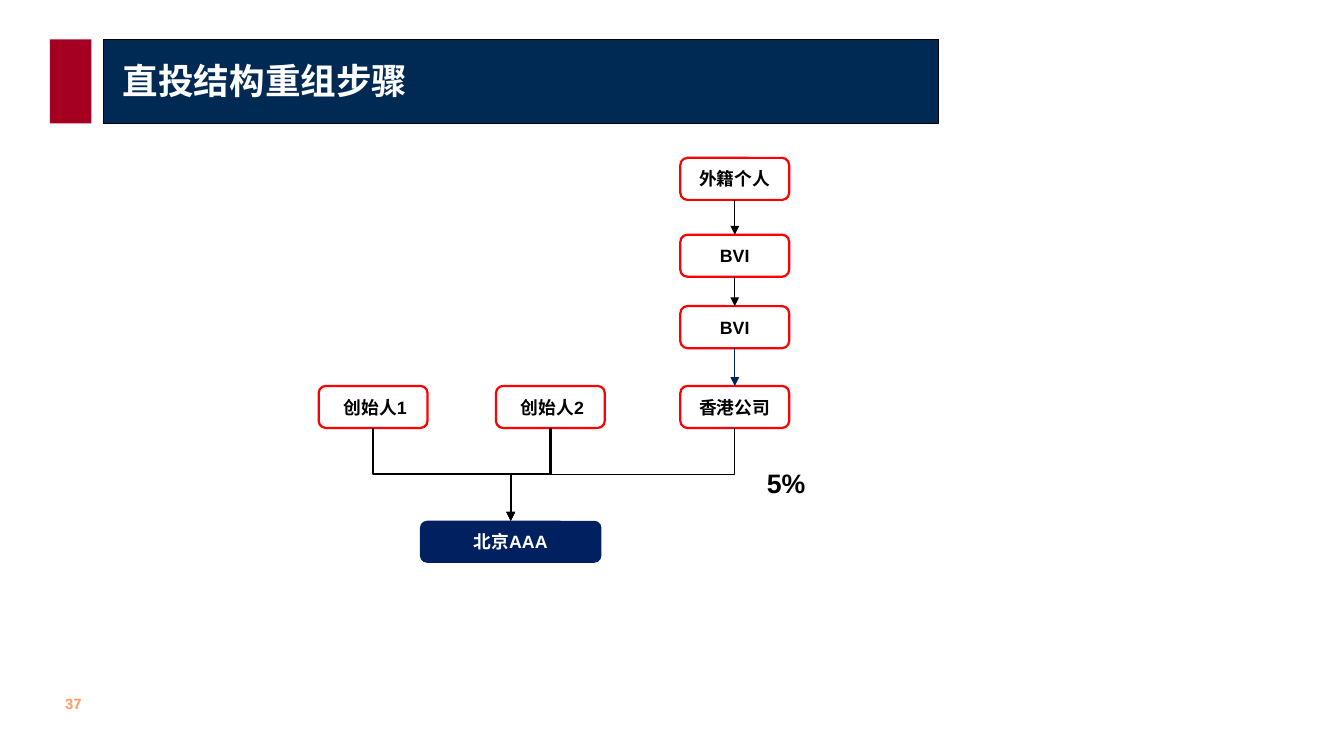
from collections import namedtuple
from dataclasses import dataclass

from lxml import etree
from pptx import Presentation
from pptx.dml.color import RGBColor
from pptx.enum.shapes import MSO_CONNECTOR, MSO_SHAPE
from pptx.enum.text import MSO_ANCHOR, MSO_AUTO_SIZE, PP_ALIGN
from pptx.oxml.ns import qn
from pptx.util import Cm, Pt

RECTANGLE, ROUNDED = MSO_SHAPE.RECTANGLE, MSO_SHAPE.ROUNDED_RECTANGLE
STRAIGHT, ELBOW = MSO_CONNECTOR.STRAIGHT, MSO_CONNECTOR.ELBOW
MIDDLE, NO_AUTOFIT = MSO_ANCHOR.MIDDLE, MSO_AUTO_SIZE.NONE
LEFT, CENTER = PP_ALIGN.LEFT, PP_ALIGN.CENTER
TITLE_ONLY = 5
TOP_SITE, BOTTOM_SITE = 0, 2

Box = namedtuple("Box", "left top width height")


@dataclass(frozen=True)
class Theme:
    white: str = "FFFFFF"
    black: str = "000000"
    title_bar: str = "002A54"
    accent: str = "A50021"
    page_number: str = "FF9966"
    company: str = "002060"
    outline: str = "FF0000"
    latin_font: str = "Arial"
    title_font: str = "Times New Roman"
    chinese_font: str = "Noto Sans CJK SC"
    title_size: int = 24
    share_size: int = 18
    node_size: int = 12
    page_size: int = 10
    thin: float = 0.75
    frame: float = 1
    thick: float = 1.5


THEME = Theme()


def lengths(*values):
    return [Cm(value) for value in values]


def add_run(paragraph, text, size, color, font=THEME.latin_font):
    run = paragraph.add_run()
    run.text = text
    run.font.size = Pt(size)
    run.font.bold = True
    run.font.color.rgb = RGBColor.from_string(color)
    run.font.name = font
    east_asian = etree.Element(qn("a:ea"), typeface=THEME.chinese_font)
    run.font._element.find(qn("a:latin")).addnext(east_asian)


def add_panel(slide, kind, box, fill, outline=None, weight=THEME.thick):
    shape = slide.shapes.add_shape(kind, *lengths(*box))
    shape.shadow.inherit = False
    shape.fill.solid()
    shape.fill.fore_color.rgb = RGBColor.from_string(fill)
    if outline:
        shape.line.color.rgb = RGBColor.from_string(outline)
        shape.line.width = Pt(weight)
    else:
        shape.line.fill.background()
    return shape


def add_label(slide, box, text, size, color, wrap):
    shape = slide.shapes.add_textbox(*lengths(*box))
    shape.text_frame.word_wrap = wrap
    add_run(shape.text_frame.paragraphs[0], text, size, color)


def add_node(slide, box, text, fill=THEME.white, outline=THEME.outline,
             color=THEME.black):
    shape = add_panel(slide, ROUNDED, box, fill, outline)
    shape.text_frame.vertical_anchor = MIDDLE
    paragraph = shape.text_frame.paragraphs[0]
    paragraph.alignment = CENTER
    add_run(paragraph, text, THEME.node_size, color)
    return shape


def style_arrow(connector, color, weight):
    connector.line.color.rgb = RGBColor.from_string(color)
    connector.line.width = Pt(weight)
    etree.SubElement(connector.line._get_or_add_ln(), qn("a:tailEnd"),
                     type="triangle")
    etree.SubElement(connector._element.spPr, qn("a:effectLst"))


def add_straight_arrow(slide, upper, lower, color):
    connector = slide.shapes.add_connector(STRAIGHT, 0, 0, 0, 0)
    connector.begin_connect(upper, BOTTOM_SITE)
    connector.end_connect(lower, TOP_SITE)
    style_arrow(connector, color, THEME.thin)


def add_elbow_arrow(slide, upper, lower, weight):
    """Run down, across and down: a sideways elbow turned by a quarter."""
    start_x = upper.left + upper.width // 2
    end_x = lower.left + lower.width // 2
    start_y, end_y = upper.top + upper.height, lower.top
    center_x, center_y = (start_x + end_x) // 2, (start_y + end_y) // 2
    half_drop, half_span = (end_y - start_y) // 2, abs(end_x - start_x) // 2
    goes_right = end_x > start_x
    reach = -half_drop if goes_right else half_drop
    connector = slide.shapes.add_connector(
        ELBOW, center_x - reach, center_y - half_span,
        center_x + reach, center_y + half_span)
    degrees = 270 if goes_right else 90
    connector._element.spPr.find(qn("a:xfrm")).set("rot", str(degrees * 60000))
    style_arrow(connector, THEME.black, weight)


def add_header(slide, box):
    accent_width, gap = 0.99, 0.28
    bar_left = box.left + accent_width + gap
    bar_width = box.width - accent_width - gap
    add_panel(slide, RECTANGLE, Box(box.left, box.top, accent_width, box.height),
              THEME.accent)
    add_panel(slide, RECTANGLE, Box(bar_left, box.top, bar_width, box.height),
              THEME.title_bar, THEME.black, THEME.frame)

    title = slide.shapes.title
    slide.shapes._spTree.append(title._element)
    title.left, title.top, title.width, title.height = lengths(
        bar_left + 0.21, box.top + 0.03, bar_width - 0.41, box.height - 0.1)
    title.text_frame.auto_size = NO_AUTOFIT
    title.text_frame.vertical_anchor = MIDDLE
    paragraph = title.text_frame.paragraphs[0]
    paragraph.alignment = LEFT
    for text, font in (("直投结构", THEME.title_font),
                       ("重组步骤", THEME.chinese_font)):
        add_run(paragraph, text, THEME.title_size, THEME.white, font)


def add_ownership_chart(slide, box):
    node_width, node_height = 2.59, 1
    holding_left = box.left + box.width - node_width
    founder_top = box.top + 5.43
    company_top = box.top + box.height - node_height

    holdings = [
        add_node(slide, Box(holding_left, box.top + offset, node_width, node_height),
                 text)
        for text, offset in (("外籍个人", 0), ("BVI", 1.83),
                             ("BVI", 3.53), ("香港公司", 5.43))]
    founders = [
        add_node(slide, Box(box.left + offset, founder_top, node_width, node_height),
                 text)
        for text, offset in ((" 创始人1", 0), (" 创始人2", 4.22))]
    company = add_node(slide, Box(box.left + 2.41, company_top, 4.32, node_height),
                       "北京AAA", THEME.company, None, THEME.white)

    arrow_colors = (THEME.black, THEME.black, THEME.company)
    for upper, lower, color in zip(holdings, holdings[1:], arrow_colors):
        add_straight_arrow(slide, upper, lower, color)
    for founder in founders:
        add_elbow_arrow(slide, founder, company, THEME.thick)
    add_elbow_arrow(slide, holdings[-1], company, THEME.thin)
    add_label(slide, Box(holding_left + 1.81, founder_top + 1.81, node_width, 1.02),
              "5%", THEME.share_size, THEME.black, True)


def main():
    presentation = Presentation()
    presentation.slide_width, presentation.slide_height = lengths(32, 18)
    slide = presentation.slides.add_slide(presentation.slide_layouts[TITLE_ONLY])
    add_header(slide, Box(1.19, 0.94, 21.16, 2))
    add_ownership_chart(slide, Box(7.59, 3.76, 11.2, 9.64))
    add_label(slide, Box(1.3, 16.41, 0.94, 0.69), "37", THEME.page_size,
              THEME.page_number, False)
    presentation.save("out.pptx")


if __name__ == "__main__":
    main()
